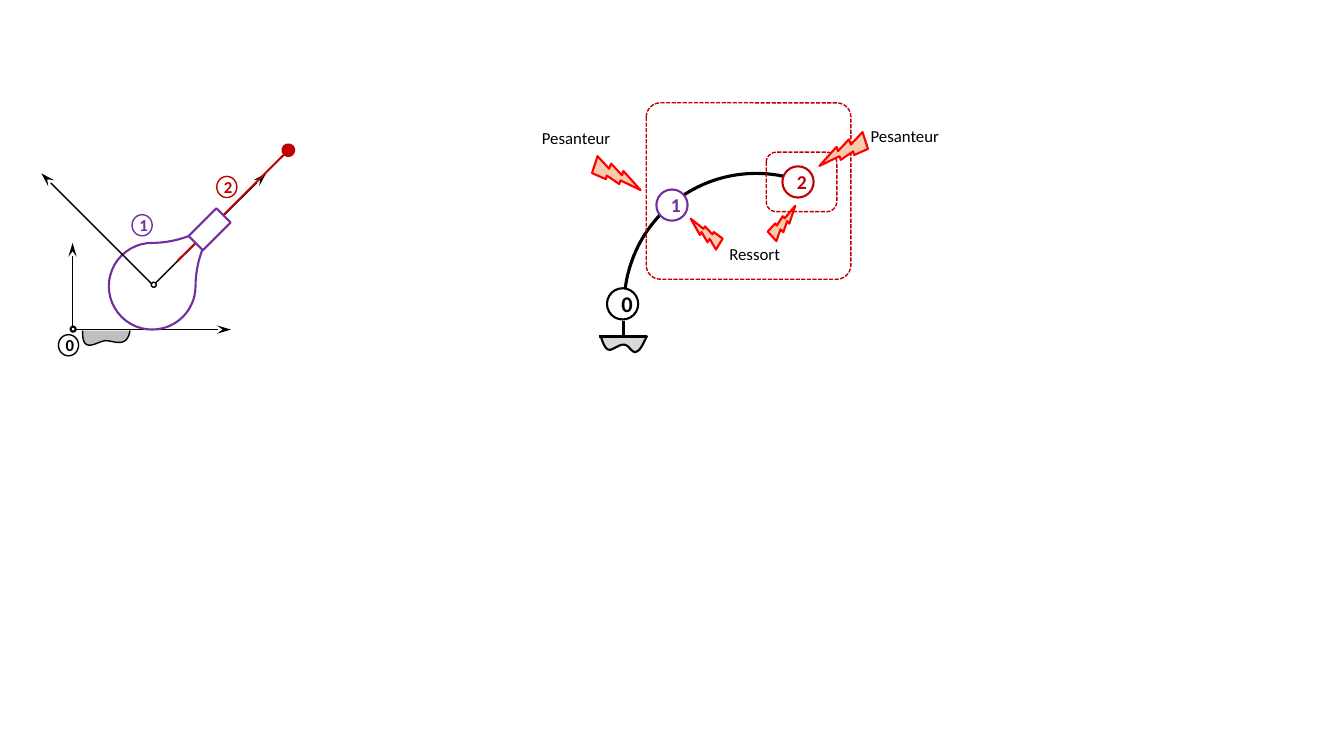
from lxml import etree
from pptx import Presentation
from pptx.dml.color import RGBColor
from pptx.enum.dml import MSO_LINE
from pptx.enum.shapes import MSO_CONNECTOR, MSO_SHAPE
from pptx.enum.text import MSO_ANCHOR, MSO_AUTO_SIZE, PP_ALIGN
from pptx.oxml.ns import qn
from pptx.util import Pt

PX = 9144
FONT = "Calibri"
CURVE_STEPS = 16

BLACK = RGBColor(0x00, 0x00, 0x00)
WHITE = RGBColor(0xFF, 0xFF, 0xFF)
PURPLE = RGBColor(0x70, 0x30, 0xA0)
CRIMSON = RGBColor(0xC0, 0x00, 0x00)
RED = RGBColor(0xFF, 0x00, 0x00)
PEACH = RGBColor(0xF8, 0xCB, 0xAD)
LIGHT_GREY = RGBColor(0xD9, 0xD9, 0xD9)
GREY = RGBColor(0xBF, 0xBF, 0xBF)

ARC = MSO_SHAPE.ARC
BOLT = MSO_SHAPE.LIGHTNING_BOLT
ELLIPSE = MSO_SHAPE.OVAL
RECTANGLE = MSO_SHAPE.RECTANGLE
ROUNDED = MSO_SHAPE.ROUNDED_RECTANGLE
TEARDROP = MSO_SHAPE.TEAR
STRAIGHT = MSO_CONNECTOR.STRAIGHT
DASH = MSO_LINE.SQUARE_DOT
CENTER = PP_ALIGN.CENTER
MIDDLE = MSO_ANCHOR.MIDDLE
FIT_TEXT = MSO_AUTO_SIZE.SHAPE_TO_FIT_TEXT


def bezier(points, step):
    """Return the EMU point of a cubic curve at one step."""
    t = step / CURVE_STEPS
    weights = ((1 - t) ** 3, 3 * t * (1 - t) ** 2, 3 * t * t * (1 - t), t ** 3)
    return tuple(PX * sum(weight * point[axis] for weight, point in zip(weights, points))
                 for axis in (0, 1))


class Diagram:
    """Draws mechanism elements on one slide in a shared style."""

    def __init__(self, slide):
        """Keep the slide's shapes."""
        self.shapes = slide.shapes

    def paint(self, shape, fill, line, width):
        """Set fill and outline, without shadow."""
        shape.shadow.inherit = False
        if fill is None:
            shape.fill.background()
        else:
            shape.fill.solid()
            shape.fill.fore_color.rgb = fill
        shape.line.color.rgb = line
        shape.line.width = Pt(width)

    def shape(self, preset, box, line, width, fill=None, adjustments=(), rotation=0, flip=""):
        """Add a preset shape."""
        shape = self.shapes.add_shape(preset, *(PX * length for length in box))
        self.paint(shape, fill, line, width)
        for index, value in enumerate(adjustments):
            shape.adjustments[index] = value
        shape.rotation = rotation
        for axis in flip:
            shape.element.spPr.get_or_add_xfrm().set("flip" + axis, "1")
        return shape

    def set_text(self, shape, text, size, color, bold=False):
        """Put one centred paragraph in a shape."""
        paragraph = shape.text_frame.paragraphs[0]
        paragraph.text = text
        paragraph.alignment = CENTER
        paragraph.font.name = FONT
        paragraph.font.size = Pt(size)
        paragraph.font.bold = bold
        paragraph.font.color.rgb = color

    def solid_number(self, number, box, color, width, size):
        """Add a circled solid number."""
        circle = self.shape(ELLIPSE, box, color, width, WHITE)
        circle.text_frame.vertical_anchor = MIDDLE
        self.set_text(circle, number, size, color, True)

    def label(self, text, left, top):
        """Add a force label."""
        box = self.shapes.add_textbox(PX * left, PX * top, PX * 87, PX * 20)
        frame = box.text_frame
        frame.margin_left = frame.margin_top = frame.margin_right = frame.margin_bottom = 0
        frame.word_wrap = True
        frame.auto_size = FIT_TEXT
        self.set_text(box, text, 12, BLACK)

    def line(self, start, end, color, width, tip=None, tip_width="med"):
        """Add a straight line with an optional tip at its end."""
        connector = self.shapes.add_connector(STRAIGHT, *(PX * length for length in start + end))
        connector.line.color.rgb = color
        connector.line.width = Pt(width)
        properties = connector.element.spPr
        if tip:
            etree.SubElement(properties.find(qn("a:ln")), qn("a:tailEnd"),
                             type=tip, w=tip_width, len="lg")
        etree.SubElement(properties, qn("a:effectLst"))

    def ground(self, start, curves, fill, width):
        """Add an open ground outline made of cubic curves."""
        builder = self.shapes.build_freeform(PX * start[0], PX * start[1])
        for curve in curves:
            points = (start, *curve)
            builder.add_line_segments(
                [bezier(points, step) for step in range(1, CURVE_STEPS + 1)], close=False)
            start = curve[-1]
        self.paint(builder.convert_to_shape(), fill, BLACK, width)

    def bolt(self, box, rotation, flip=""):
        """Add a lightning bolt for an action."""
        self.shape(BOLT, box, RED, 1.5, PEACH, rotation=rotation, flip=flip)


def draw_graph(diagram):
    """Draw the linkage graph with its solids."""
    diagram.shape(ARC, (619, 172, 262, 262), BLACK, 2.25, adjustments=(111.23, 173.42))
    diagram.ground((596, 334), [((598, 340), (600, 346), (604, 347)),
                                ((607, 348), (615, 341), (619, 342)),
                                ((624, 342), (627, 351), (631, 349)),
                                ((635, 348), (638, 341), (642, 333))], LIGHT_GREY, 1.5)
    diagram.line((618, 318), (618, 333), BLACK, 2.25)
    diagram.line((642, 334), (594, 334), BLACK, 2.25)
    for number, left, top, color, size in (("1", 651, 188, PURPLE, 14),
                                           ("2", 776, 165, CRIMSON, 14),
                                           ("0", 602, 286, BLACK, 16)):
        diagram.solid_number(number, (left, top, 31, 31), color, 1.5, size)
    diagram.bolt((686, 216, 29, 33), 273.8, "V")
    diagram.label("Pesanteur", 854, 125)
    diagram.label("Pesanteur", 528, 127)


def draw_mechanism(diagram):
    """Draw the mechanism with its axes."""
    for end in ((72, 241), (229, 327)):
        diagram.line((72, 327), end, BLACK, 1, "stealth")
    diagram.shape(ELLIPSE, (70, 324, 5, 5), BLACK, 1.5, WHITE)
    diagram.shape(TEARDROP, (108, 241, 86, 86), PURPLE, 1.5, adjustments=(1.49,))
    for end in ((41, 172), (264, 172)):
        diagram.line((152, 283), end, BLACK, 1, "stealth")
    diagram.shape(ELLIPSE, (150, 280, 5, 5), BLACK, 1, WHITE)
    diagram.line((176, 259), (286, 149), CRIMSON, 1.5, "oval", "lg")
    diagram.shape(RECTANGLE, (198, 208, 20, 39), PURPLE, 1.5, WHITE, rotation=45)
    diagram.ground((82, 328), [((81, 353), (97, 338), (105, 338)),
                               ((113, 338), (126, 346), (129, 328))], GREY, 1)
    for number, left, top, color in (("0", 58, 332, BLACK), ("2", 215, 175, CRIMSON),
                                     ("1", 131, 213, PURPLE)):
        diagram.solid_number(number, (left, top, 20, 21), color, 1, 12)


def draw_isolations(diagram):
    """Draw the isolated systems and their outside actions."""
    for box, radius in (((760, 151, 70, 59), 0.17), ((641, 102, 203, 175), 0.08)):
        frame = diagram.shape(ROUNDED, box, CRIMSON, 1, adjustments=(radius,))
        frame.line.dash_style = DASH
    diagram.bolt((818, 126, 40, 45), 99.1)
    diagram.bolt((590, 150, 40, 45), 260.9, "H")
    diagram.bolt((762, 206, 29, 33), 75, "HV")
    diagram.label("Ressort", 705, 242)


def main():
    """Build and save the slide."""
    presentation = Presentation()
    presentation.slide_width = PX * 1333
    presentation.slide_height = PX * 750
    diagram = Diagram(presentation.slides.add_slide(presentation.slide_layouts[6]))
    draw_graph(diagram)
    draw_mechanism(diagram)
    draw_isolations(diagram)
    presentation.save("out.pptx")


if __name__ == "__main__":
    main()
